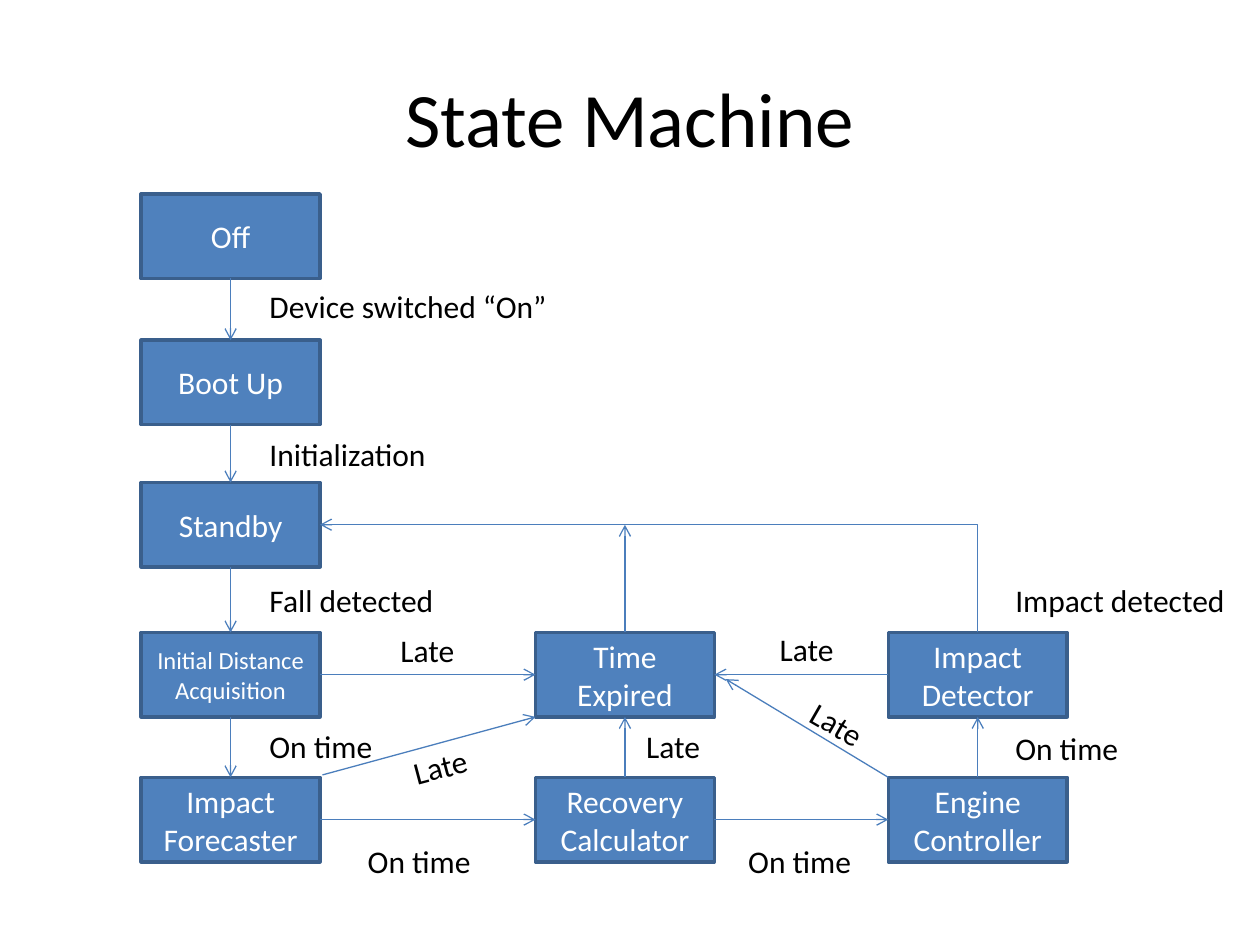
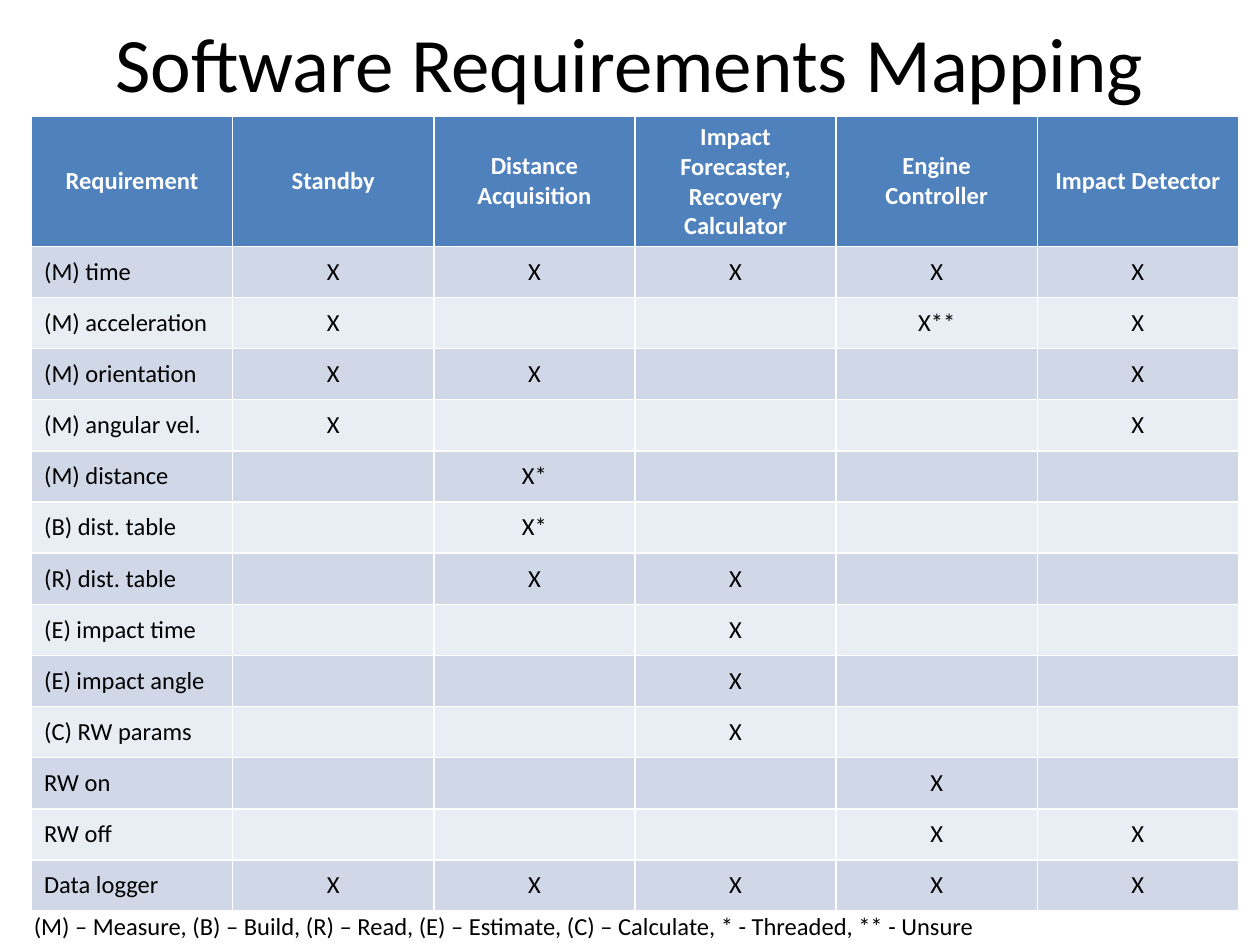
"""Build the state machine and software requirements slides."""
import lxml.etree
import pptx
import pptx.dml.color
import pptx.enum.shapes
import pptx.enum.text
import pptx.oxml.ns
import pptx.util

Inches = pptx.util.Inches
ALIGN = pptx.enum.text.PP_ALIGN
MIDDLE = pptx.enum.text.MSO_ANCHOR.MIDDLE
CONNECTOR = pptx.enum.shapes.MSO_CONNECTOR
qn = pptx.oxml.ns.qn

FONT = "Calibri"
COLORS = {
    "text": "000000",
    "light": "FFFFFF",
    "accent": "4F81BD",
    "outline": "3A5F8C",
    "arrow": "4B7EBC",
    "band_dark": "D0D8E8",
    "band_light": "E9EDF4",
}

BOX_WIDTH, BOX_HEIGHT = 1.42, 0.67
COLUMN_LEFTS = [1.12, 4.25, 7.05]
ROW_TOPS = [1.54, 2.7, 3.83, 5.02, 6.17]

STATES = {
    "Off": (0, 0),
    "Boot Up": (0, 1),
    "Standby": (0, 2),
    "Initial Distance Acquisition": (0, 3),
    "Impact Forecaster": (0, 4),
    "Recovery Calculator": (1, 4),
    "Engine Controller": (2, 4),
    "Impact Detector": (2, 3),
    "Time Expired": (1, 3),
}
SMALL_STATE = "Initial Distance Acquisition"

TRANSITIONS = [
    ("Off", "bottom", "Boot Up", "top"),
    ("Boot Up", "bottom", "Standby", "top"),
    ("Standby", "bottom", "Initial Distance Acquisition", "top"),
    ("Initial Distance Acquisition", "bottom", "Impact Forecaster", "top"),
    ("Impact Forecaster", "right", "Recovery Calculator", "left"),
    ("Recovery Calculator", "right", "Engine Controller", "left"),
    ("Engine Controller", "top", "Impact Detector", "bottom"),
    ("Initial Distance Acquisition", "right", "Time Expired", "left"),
    ("Impact Detector", "left", "Time Expired", "right"),
    ("Recovery Calculator", "top", "Time Expired", "bottom"),
]
SLANTED_ARROWS = [
    ((7.05, 6.17), (5.76, 5.39)),
    ((2.56, 6.15), (4.25, 5.69)),
]

LABELS = [
    ("Device switched “On”", 2.04, 2.23, 2.42, 0),
    ("Initialization", 2.04, 3.4, 1.46, 0),
    ("Fall detected", 2.04, 4.56, 1.52, 0),
    ("On time", 2.04, 5.72, 1.03, 0),
    ("On time", 2.82, 6.63, 1.03, 0),
    ("On time", 5.84, 6.63, 1.03, 0),
    ("On time", 7.96, 5.74, 1.03, 0),
    ("Impact detected", 7.96, 4.56, 1.88, 0),
    ("Late", 3.08, 4.96, 0.64, 0),
    ("Late", 6.09, 4.95, 0.64, 0),
    ("Late", 5.03, 5.72, 0.64, 0),
    ("Late", 6.33, 5.55, 0.64, 30),
    ("Late", 3.18, 5.88, 0.64, 345),
]

REQUIREMENTS = [
    ["Requirement", "Standby", "Distance Acquisition",
     "Impact Forecaster, Recovery Calculator", "Engine Controller",
     "Impact Detector"],
    ["(M) time", "X", "X", "X", "X", "X"],
    ["(M) acceleration", "X", "", "", "X**", "X"],
    ["(M) orientation", "X", "X", "", "", "X"],
    ["(M) angular vel.", "X", "", "", "", "X"],
    ["(M) distance", "", "X*", "", "", ""],
    ["(B) dist. table", "", "X*", "", "", ""],
    ["(R) dist. table", "", "X", "X", "", ""],
    ["(E) impact time", "", "", "X", "", ""],
    ["(E) impact angle", "", "", "X", "", ""],
    ["(C) RW params", "", "", "X", "", ""],
    ["RW on", "", "", "", "X", ""],
    ["RW off", "", "", "", "X", "X"],
    ["Data logger", "X", "X", "X", "X", "X"],
]
LEGEND = ("(M) – Measure, (B) – Build, (R) – Read, (E) – Estimate, "
          "(C) – Calculate, * - Threaded, ** - Unsure")


def color(name):
    """Return the named colour."""
    return pptx.dml.color.RGBColor.from_string(COLORS[name])


def write(frame, text, size, shade="text", align=ALIGN.LEFT, bold=False):
    """Put one run of text into the first paragraph of a frame."""
    para = frame.paragraphs[0]
    para.alignment = align
    span = para.add_run()
    span.text = text
    span.font.name = FONT
    span.font.size = pptx.util.Pt(size)
    span.font.bold = bold
    span.font.color.rgb = color(shade)


def add_title(page, text, top, height):
    """Add a centred slide title."""
    box = page.shapes.add_textbox(
        Inches(0.5), Inches(top), Inches(9), Inches(height))
    box.text_frame.word_wrap = True
    box.text_frame.vertical_anchor = MIDDLE
    write(box.text_frame, text, 44, align=ALIGN.CENTER)


def add_label(page, text, left, top, width, height=0.4, size=18, turn=0):
    """Add a one-line label, turned by the given degrees."""
    box = page.shapes.add_textbox(
        Inches(left), Inches(top), Inches(width), Inches(height))
    box.rotation = turn
    box.text_frame.word_wrap = False
    box.text_frame.auto_size = pptx.enum.text.MSO_AUTO_SIZE.SHAPE_TO_FIT_TEXT
    write(box.text_frame, text, size)


def add_state(page, name):
    """Add the box of one state at its place in the grid."""
    column, row = STATES[name]
    box = page.shapes.add_shape(
        pptx.enum.shapes.MSO_SHAPE.RECTANGLE,
        Inches(COLUMN_LEFTS[column]), Inches(ROW_TOPS[row]),
        Inches(BOX_WIDTH), Inches(BOX_HEIGHT))
    box.shadow.inherit = False
    box.fill.solid()
    box.fill.fore_color.rgb = color("accent")
    box.line.color.rgb = color("outline")
    box.line.width = pptx.util.Pt(2)
    box.text_frame.word_wrap = True
    box.text_frame.vertical_anchor = MIDDLE
    size = 14 if name == SMALL_STATE else 18
    write(box.text_frame, name, size, "light", ALIGN.CENTER)


def side_point(name, side):
    """Return the middle of one side of a state box."""
    column, row = STATES[name]
    across, down = {"left": (0, 0.5), "right": (1, 0.5),
                    "top": (0.5, 0), "bottom": (0.5, 1)}[side]
    return (COLUMN_LEFTS[column] + across * BOX_WIDTH,
            ROW_TOPS[row] + down * BOX_HEIGHT)


def add_arrow(page, start, end, kind=CONNECTOR.STRAIGHT):
    """Add a thin connector with an open arrowhead at its end."""
    arrow = page.shapes.add_connector(
        kind, *(Inches(value) for value in (*start, *end)))
    arrow.line.color.rgb = color("arrow")
    arrow.line.width = pptx.util.Pt(0.75)
    props = arrow._element.spPr
    lxml.etree.SubElement(props.find(qn("a:ln")), qn("a:tailEnd"), type="arrow")
    lxml.etree.SubElement(props, qn("a:effectLst"))
    return arrow


def add_corner_arrow(page, start, end):
    """Add an arrow that rises from start, then runs left to end."""
    middle_x, middle_y = (start[0] + end[0]) / 2, (start[1] + end[1]) / 2
    half_run, half_rise = (start[0] - end[0]) / 2, (start[1] - end[1]) / 2
    arrow = add_arrow(page, (middle_x - half_rise, middle_y + half_run),
                      (middle_x + half_rise, middle_y - half_run),
                      CONNECTOR.ELBOW)
    props = arrow._element.spPr
    props.find(qn("a:prstGeom")).set("prst", "bentConnector2")
    props.find(qn("a:xfrm")).set("rot", str(270 * 60000))


def add_requirements_table(page):
    """Add the banded table that maps requirements to states."""
    width, height, header_height = 9.58, 6.31, 1.03
    row_count, column_count = len(REQUIREMENTS), len(REQUIREMENTS[0])
    table = page.shapes.add_table(
        row_count, column_count, Inches(0.25), Inches(0.92),
        Inches(width), Inches(height)).table
    for column in table.columns:
        column.width = Inches(width / column_count)
    for row_index, texts in enumerate(REQUIREMENTS):
        header = row_index == 0
        body_height = (height - header_height) / (row_count - 1)
        table.rows[row_index].height = Inches(
            header_height if header else body_height)
        band = "band_dark" if row_index % 2 else "band_light"
        for column_index, text in enumerate(texts):
            cell = table.cell(row_index, column_index)
            cell.vertical_anchor = MIDDLE
            cell.fill.solid()
            cell.fill.fore_color.rgb = color("accent" if header else band)
            centred = header or column_index > 0
            if text:
                write(cell.text_frame, text, 14,
                      "light" if header else "text",
                      ALIGN.CENTER if centred else ALIGN.LEFT, header)


def build_state_machine(page):
    """Draw the states, their transitions and the labels."""
    add_title(page, "State Machine", 0.3, 1.25)
    for name in STATES:
        add_state(page, name)
    for source, source_side, target, target_side in TRANSITIONS:
        add_arrow(page, side_point(source, source_side),
                  side_point(target, target_side))
    for start, end in SLANTED_ARROWS:
        add_arrow(page, start, end)
    standby = side_point("Standby", "right")
    add_corner_arrow(page, side_point("Impact Detector", "top"), standby)
    expired = side_point("Time Expired", "top")
    add_arrow(page, expired, (expired[0], standby[1]))
    for text, left, top, width, turn in LABELS:
        add_label(page, text, left, top, width, turn=turn)


def build_requirements(page):
    """Draw the requirements table with its title and legend."""
    add_title(page, "Software Requirements Mapping", -0.01, 1)
    add_requirements_table(page)
    add_label(page, LEGEND, 0.17, 7.18, 7.73, height=0.34, size=14)


def main():
    """Build and save the deck."""
    deck = pptx.Presentation()
    deck.slide_width, deck.slide_height = Inches(10), Inches(7.5)
    for build in (build_state_machine, build_requirements):
        build(deck.slides.add_slide(deck.slide_layouts[6]))
    deck.save("out.pptx")


if __name__ == "__main__":
    main()
